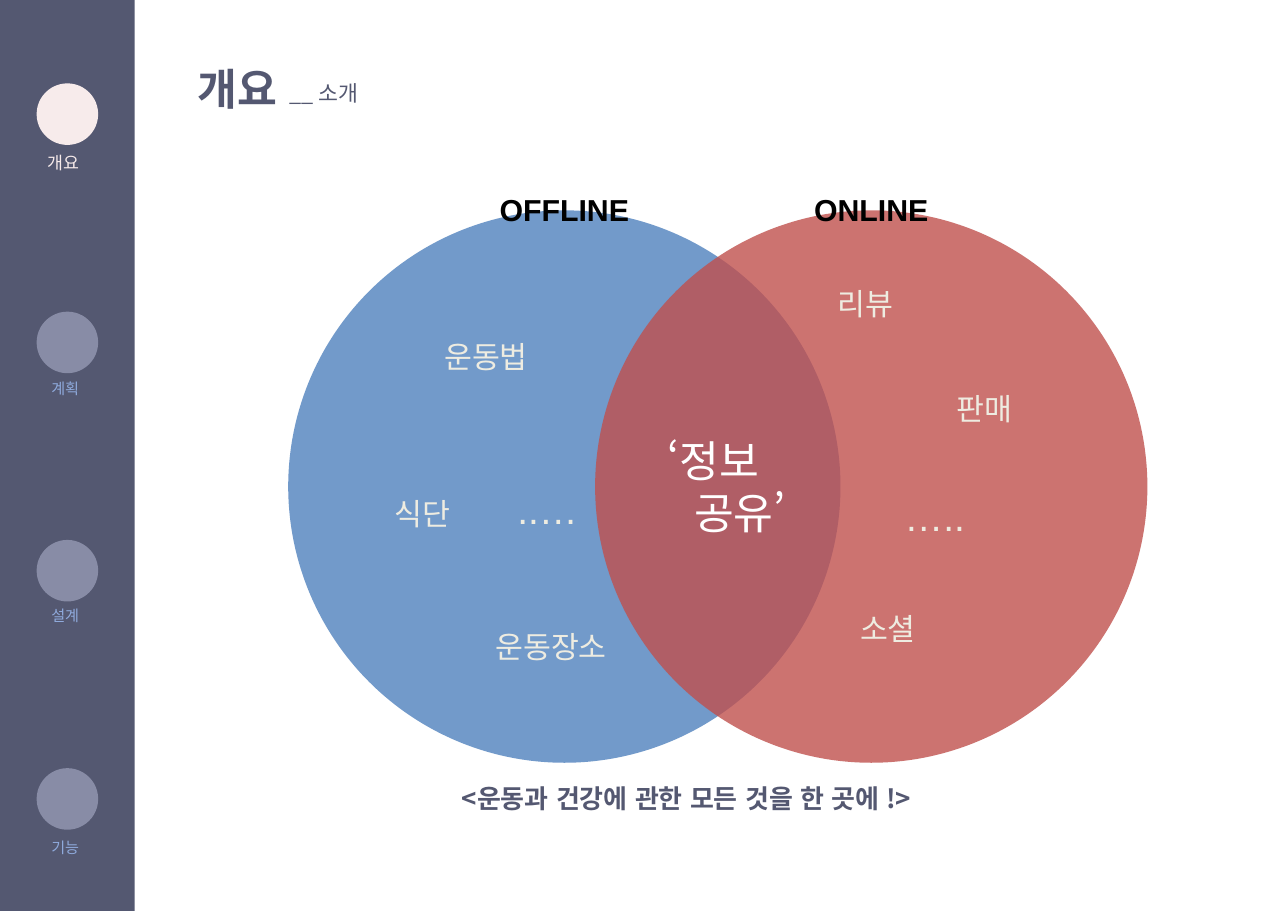
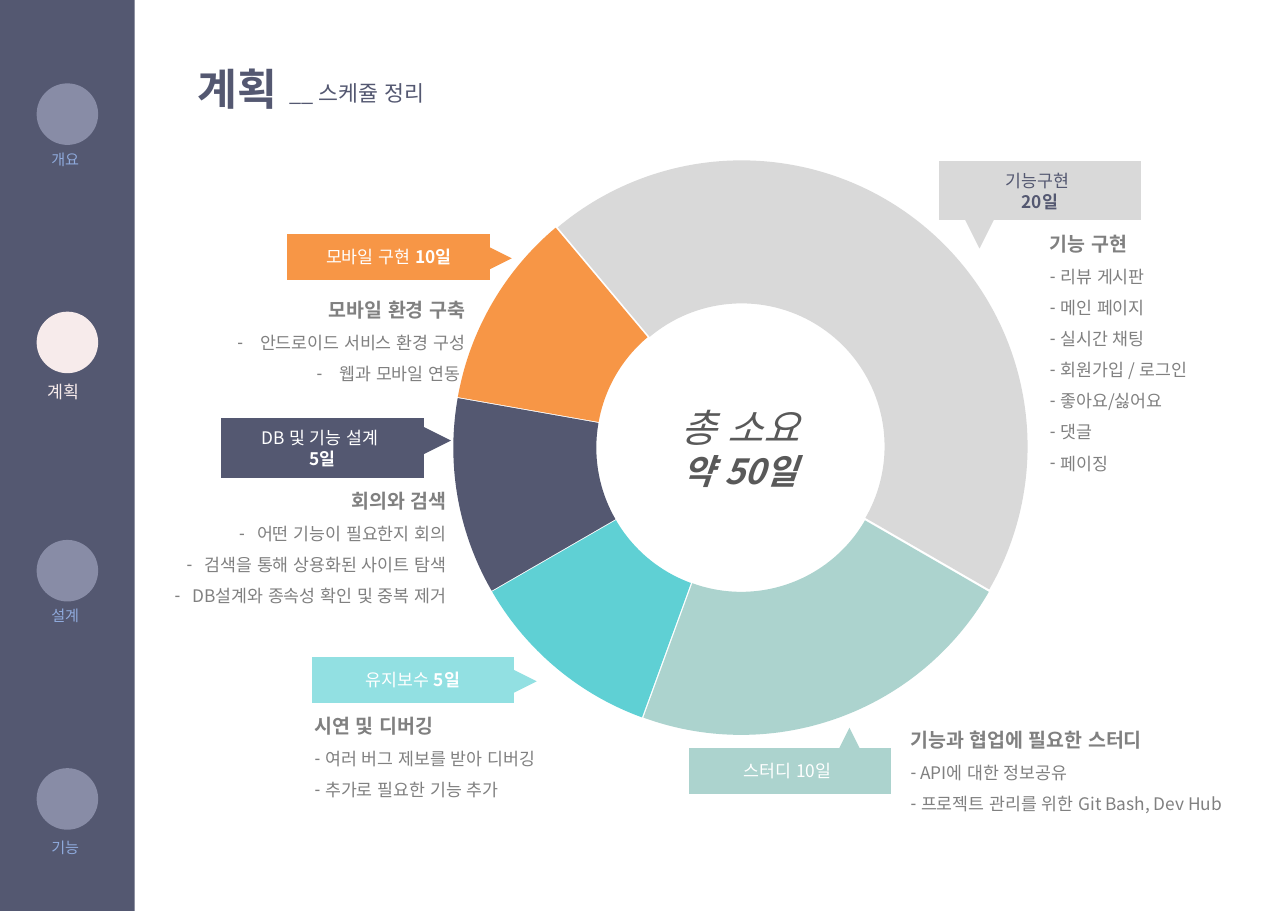
"""Build two project slides: a Venn overview and a schedule doughnut."""
from dataclasses import dataclass
from typing import Any, NamedTuple, Optional

import lxml.etree
import pptx
import pptx.chart.data
import pptx.dml.color
import pptx.enum.chart
import pptx.enum.shapes
import pptx.enum.text
import pptx.oxml.ns
import pptx.util

PX = 9144
KOREAN, LATIN = "Noto Sans CJK KR", "Arial"
COLORS = {
    "white": "FFFFFF", "black": "000000", "navy": "545871", "blush": "F7EBEB",
    "muted": "888CA6", "sky": "8FAADC", "blue": "4F81BD", "red": "C0504D",
    "cream": "EEECE1", "silver": "D9D9D9", "sage": "ACD3CE", "teal": "5FD0D4",
    "aqua": "92E0E2", "orange": "F79646", "gray": "808080", "charcoal": "595959",
}
ALIGN = pptx.enum.text.PP_ALIGN
ANCHOR = pptx.enum.text.MSO_ANCHOR
SHAPE = pptx.enum.shapes.MSO_SHAPE
qn = pptx.oxml.ns.qn


class Box(NamedTuple):
    left: int
    top: int
    width: int
    height: int


class Span(NamedTuple):
    text: str
    bold: bool = False


@dataclass(frozen=True)
class Style:
    size: int
    color: str
    face: str = KOREAN
    bold: Optional[bool] = False
    italic: bool = False
    align: Any = ALIGN.LEFT
    spacing: float = 1.0


class Line(NamedTuple):
    spans: list[Span]
    style: Style
    bullet: str = ""
    indent: int = 0


@dataclass(frozen=True)
class VennWord:
    text: str
    box: Box
    size: int = 28


@dataclass(frozen=True)
class Callout:
    box: Box
    color: str
    text_color: str
    lines: list[list[Span]]
    pointer: tuple[int, int]
    rotation: int


@dataclass(frozen=True)
class TaskList:
    box: Box
    heading: str
    items: list[str]
    align: Any = ALIGN.LEFT


NAV = [("개요", 81), ("계획", 82), ("설계", 81), ("기능", 85)]
VENN = [(370, "blue", "OFFLINE"), (764, "red", "ONLINE")]
VENN_WORDS = [
    VennWord("운동법", Box(517, 409, 214, 97)),
    VennWord("식단", Box(464, 610, 156, 97)),
    VennWord("운동장소", Box(599, 781, 217, 97)),
    VennWord("..…", Box(625, 605, 156, 97), 36),
    VennWord("리뷰", Box(1033, 341, 156, 97)),
    VennWord("판매", Box(1186, 476, 156, 97)),
    VennWord("소셜", Box(1062, 758, 156, 97)),
    VennWord("…..", Box(1122, 614, 156, 97), 36),
]
SLICES = [(44, "silver"), (0, "silver"), (22, "sage"), (11, "teal"), (11, "navy"), (11, "orange")]
CHART_BOX, RING_SIZE = Box(376, 191, 1150, 767), 738
CALLOUTS = [
    Callout(Box(1205, 207, 260, 76), "silver", "navy",
            [[Span("기능구현 ")], [Span("20일", True)]], (1238, 280), 180),
    Callout(Box(884, 960, 260, 59), "sage", "white", [[Span("스터디 10일 ")]], (1071, 934), 0),
    Callout(Box(284, 537, 260, 76), "navy", "white",
            [[Span("DB 및 기능 설계 ")], [Span("5일", True)]], (540, 546), 90),
    Callout(Box(400, 843, 260, 59), "aqua", "white",
            [[Span("유지보수 "), Span("5일", True)]], (650, 855), 90),
    Callout(Box(369, 300, 260, 59), "orange", "white",
            [[Span("모바일 구현 "), Span("10일", True)]], (618, 312), 90),
]
TASKS = [
    TaskList(Box(1338, 278, 269, 338), "기능 구현",
             [" 리뷰 게시판", " 메인 페이지", " 실시간 채팅", " 회원가입 / 로그인",
              " 좋아요/싫어요", " 댓글", " 페이징"]),
    TaskList(Box(189, 608, 394, 177), "회의와 검색",
             ["어떤 기능이 필요한지 회의", "검색을 통해 상용화된 사이트 탐색",
              "DB설계와 종속성 확인 및 중복 제거"], ALIGN.RIGHT),
    TaskList(Box(394, 897, 382, 136), "시연 및 디버깅",
             [" 여러 버그 제보를 받아 디버깅", " 추가로 필요한 기능 추가"]),
    TaskList(Box(1159, 915, 490, 136), "기능과 협업에 필요한 스터디",
             [" API에 대한 정보공유", " 프로젝트 관리를 위한 Git Bash, Dev Hub"]),
    TaskList(Box(225, 363, 382, 136), "모바일 환경 구축",
             [" 안드로이드 서비스 환경 구성", " 웹과 모바일 연동 "], ALIGN.RIGHT),
]


def rgb(name: str) -> pptx.dml.color.RGBColor:
    return pptx.dml.color.RGBColor.from_string(COLORS[name])


def emu(box: Box) -> list[int]:
    return [length * PX for length in box]


def add_child(parent: Any, tag: str, **attributes: str) -> Any:
    return lxml.etree.SubElement(parent, qn(tag), attributes)


def format_para(para: Any, line: Line) -> None:
    style, properties = line.style, para._p.get_or_add_pPr()
    hanging = line.indent if line.bullet else 0
    properties.set("marL", str(line.indent * PX))
    properties.set("indent", str(-hanging * PX))
    if line.bullet:
        add_child(properties, "a:buFont", typeface=LATIN)
        add_child(properties, "a:buChar", char=line.bullet)
    else:
        add_child(properties, "a:buNone")
    para.alignment, para.line_spacing = style.align, style.spacing
    para.space_before = pptx.util.Pt(0)
    font = para.font
    font.size, font.name = pptx.util.Pt(style.size), style.face
    font.bold, font.italic = style.bold, style.italic
    font.color.rgb = rgb(style.color)
    add_child(properties.find(qn("a:defRPr")), "a:ea", typeface=KOREAN)


def write(shape: Any, lines: list[Line], anchor: Any = ANCHOR.TOP,
          across: int = 10, down: int = 5) -> None:
    frame = shape.text_frame
    frame.word_wrap, frame.vertical_anchor = True, anchor
    frame.auto_size = pptx.enum.text.MSO_AUTO_SIZE.NONE
    frame.margin_left = frame.margin_right = across * PX
    frame.margin_top = frame.margin_bottom = down * PX
    for index, line in enumerate(lines):
        para = frame.add_paragraph() if index else frame.paragraphs[0]
        for span in line.spans:
            run = para.add_run()
            run.text = span.text
            run.font.language_id = pptx.enum.lang.MSO_LANGUAGE_ID.KOREAN
            if span.bold:
                run.font.bold = True
        format_para(para, line)


def add_text(page: Any, box: Box, text: str, style: Style) -> None:
    write(page.shapes.add_textbox(*emu(box)), [Line([Span(text)], style)])


def add_centred(page: Any, box: Box, lines: list[Line]) -> None:
    write(page.shapes.add_textbox(*emu(box)), lines, ANCHOR.MIDDLE, 4, 4)


def add_shape(page: Any, kind: Any, box: Box, color: str, opacity: int = 100) -> Any:
    shape = page.shapes.add_shape(kind, *emu(box))
    shape.shadow.inherit = False
    shape.fill.solid()
    shape.fill.fore_color.rgb = rgb(color)
    shape.line.fill.background()
    if opacity < 100:
        tint = next(shape._element.spPr.iter(qn("a:srgbClr")))
        add_child(tint, "a:alpha", val=str(opacity * 1000))
    return shape


def start_page(deck: Any, layout: int, active: int, subtitle: str) -> Any:
    page = deck.slides.add_slide(deck.slide_layouts[layout])
    add_shape(page, SHAPE.RECTANGLE, Box(0, 0, 173, 1172), "navy")
    for index, (label, drop) in enumerate(NAV):
        top, current = 107 + index * 293, index == active
        add_shape(page, SHAPE.OVAL, Box(47, top, 79, 79), "blush" if current else "muted")
        if current:
            add_text(page, Box(51, top + 84, 71, 37), label, Style(16, "blush"))
        else:
            add_text(page, Box(56, top + drop, 62, 34), label, Style(14, "sky"))
    title = page.shapes.title
    title.left, title.top, title.width, title.height = emu(Box(244, 41, 142, 111))
    write(title, [Line([Span(NAV[active][0])], Style(40, "navy", bold=True, spacing=1.5))])
    add_text(page, Box(362, 81, 240, 61), subtitle, Style(20, "navy", spacing=1.5))
    return page


def add_callout(page: Any, callout: Callout) -> None:
    shape = add_shape(page, SHAPE.FLOWCHART_PROCESS, callout.box, callout.color)
    style = Style(16, callout.text_color, align=ALIGN.CENTER)
    write(shape, [Line(spans, style) for spans in callout.lines], ANCHOR.MIDDLE)
    pointer = add_shape(page, SHAPE.ISOSCELES_TRIANGLE,
                        Box(*callout.pointer, 39, 39), callout.color)
    pointer.rotation = callout.rotation


def fill_tasks(shape: Any, tasks: TaskList) -> None:
    shape.left, shape.top, shape.width, shape.height = emu(tasks.box)
    heading = Style(18, "gray", bold=True, align=tasks.align, spacing=1.5)
    item = Style(16, "gray", align=tasks.align, spacing=1.5)
    indent = 23 if tasks.align == ALIGN.RIGHT else 0
    write(shape, [Line([Span(tasks.heading)], heading),
                  *(Line([Span(text)], item, "-", indent) for text in tasks.items)])


def add_doughnut(page: Any) -> None:
    data = pptx.chart.data.CategoryChartData()
    data.categories = [str(number + 1) for number in range(len(SLICES))]
    data.add_series("Series 1", [value for value, _ in SLICES])
    chart = page.shapes.add_chart(
        pptx.enum.chart.XL_CHART_TYPE.DOUGHNUT, *emu(CHART_BOX), data).chart
    chart.has_title = chart.has_legend = False
    chart.font.name, chart.font.size = KOREAN, pptx.util.Pt(10)
    chart.font.color.rgb = rgb("black")
    plot, space = chart.plots[0], chart._chartSpace
    plot.vary_by_categories, plot.has_data_labels = True, False
    next(space.iter(qn("c:firstSliceAng"))).set("val", "320")
    next(space.iter(qn("c:holeSize"))).set("val", "70")
    explosion = lxml.etree.Element(qn("c:explosion"), val="1")
    next(space.iter(qn("c:ser"))).find(qn("c:tx")).addnext(explosion)
    for index, (_, color) in enumerate(SLICES):
        look = plot.series[0].points[index].format
        look.fill.solid()
        look.fill.fore_color.rgb = rgb(color)
        look.line.fill.background()
    area = next(space.iter(qn("c:plotArea")))
    for old in area.findall(qn("c:layout")):
        area.remove(old)
    width, height = RING_SIZE / CHART_BOX.width, RING_SIZE / CHART_BOX.height
    layout = lxml.etree.Element(qn("c:layout"))
    manual = add_child(layout, "c:manualLayout")
    for tag, value in (("layoutTarget", "inner"), ("xMode", "edge"), ("yMode", "edge"),
                       ("x", (1 - width) / 2), ("y", (1 - height) / 2),
                       ("w", width), ("h", height)):
        add_child(manual, f"c:{tag}", val=str(value))
    area.insert(0, layout)
    backdrop = lxml.etree.Element(qn("c:spPr"))
    add_child(backdrop, "a:noFill")
    add_child(add_child(backdrop, "a:ln"), "a:noFill")
    space.find(qn("c:chart")).addnext(backdrop)


def build_overview(deck: Any) -> None:
    page = start_page(deck, 5, 0, "__ 소개")
    add_text(page, Box(583, 1000, 771, 50), "<운동과 건강에 관한 모든 것을 한 곳에 !>",
             Style(24, "navy", bold=True))
    for left, color, _ in VENN:
        add_shape(page, SHAPE.OVAL, Box(left, 270, 709, 709), color, 80)
    shared = Style(40, "white", LATIN, align=ALIGN.CENTER)
    add_centred(page, Box(803, 566, 225, 116),
                [Line([Span("‘정보")], shared), Line([Span("공유’")], shared, indent=69)])
    for word in VENN_WORDS:
        style = Style(word.size, "cream", LATIN, align=ALIGN.CENTER)
        add_centred(page, word.box, [Line([Span(word.text)], style)])
    heading = Style(28, "black", LATIN, bold=True, align=ALIGN.CENTER)
    for left, _, name in VENN:
        add_centred(page, Box(left + 232, 220, 245, 97), [Line([Span(name)], heading)])


def build_schedule(deck: Any) -> None:
    page = start_page(deck, 4, 1, "__ 스케쥴 정리")
    add_doughnut(page)
    for callout in CALLOUTS:
        add_callout(page, callout)
    total = Style(36, "charcoal", italic=True, align=ALIGN.CENTER)
    days = Style(32, "charcoal", bold=True, italic=True, align=ALIGN.CENTER)
    write(page.shapes.add_textbox(*emu(Box(699, 513, 502, 125))),
          [Line([Span("총 소요")], total), Line([Span("약 50일")], days)])
    bodies = [holder for holder in page.placeholders if holder.placeholder_format.idx]
    bodies.append(page.shapes.add_textbox(*emu(TASKS[-1].box)))
    for body, tasks in zip(bodies, TASKS):
        fill_tasks(body, tasks)


deck = pptx.Presentation()
deck.slide_width, deck.slide_height = pptx.util.Mm(420), pptx.util.Mm(297)
build_overview(deck)
build_schedule(deck)
deck.save("out.pptx")
